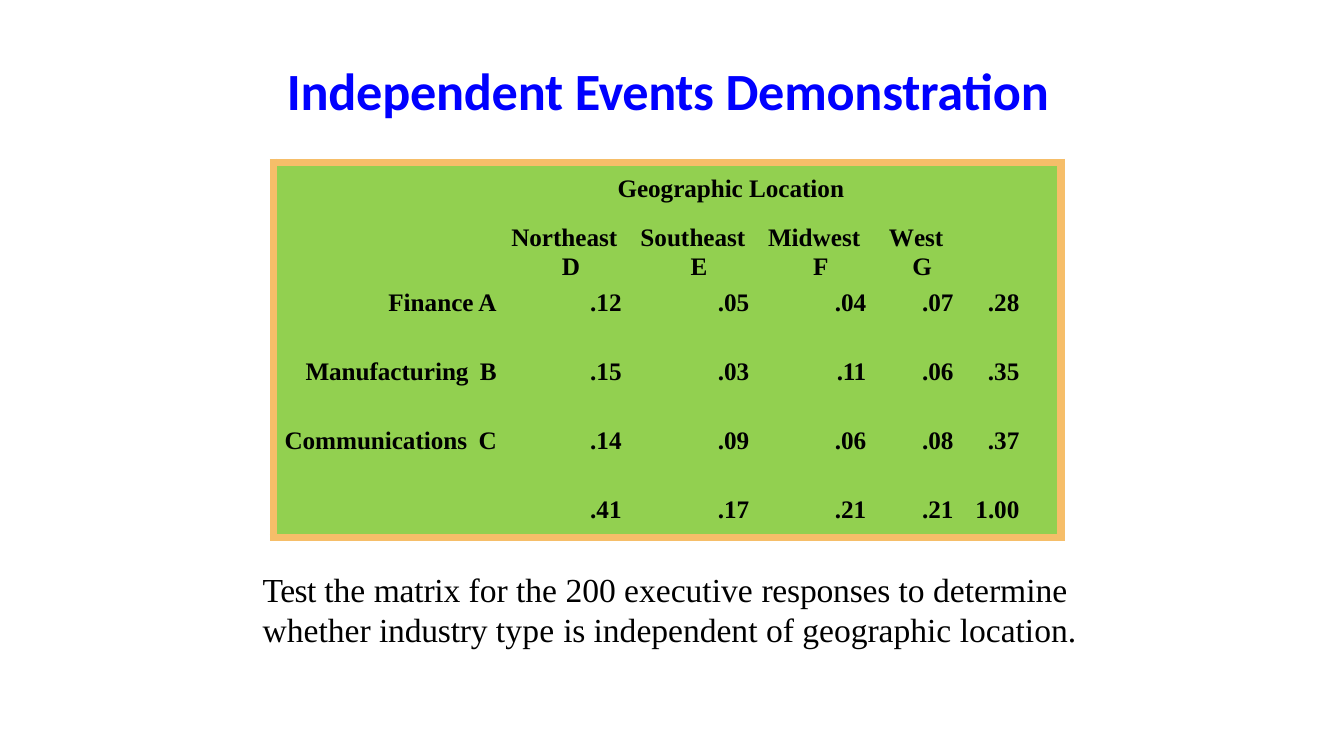
from collections import namedtuple
from dataclasses import dataclass

from lxml import etree
from pptx import Presentation
from pptx.dml.color import RGBColor
from pptx.enum.text import PP_ALIGN
from pptx.oxml.ns import qn
from pptx.util import Inches, Pt

LEFT, RIGHT = PP_ALIGN.LEFT, PP_ALIGN.RIGHT
PLAIN = "{2D5ABB26-0587-4C30-8999-92F81FD0307C}"
WIDE = 10
HIGH = WIDE * 9 / 16
GRID = 100

Box = namedtuple("Box", "x y w h")
Face = namedtuple("Face", "font size color bold")


@dataclass(frozen=True)
class Theme:
    """Colours and type sizes of the slide."""
    title: Face = Face("Calibri", 28, "0000FF", True)
    body: Face = Face("Times New Roman", 18, "000000", False)
    cell: Face = Face("Times New Roman", 13.5, "000000", True)
    fill: str = "92D050"
    edge: str = "F6BE69"
    line: float = 4.5


THEME = Theme()

HEADS = [
    ([("Northea", 0), ("s", -0.1), ("t D", 0)], 4.25, -3.75),
    ([("S", 0), ("o", 0.1), ("u", 0), ("t", 0.1), ("he", 0), ("a", -0.1), ("st E", 0)], 4.45, -3.75),
    ([("Mid", 0), ("w", 0.1), ("est F", 0)], 4.05, -3.35),
    ([("W", -0.8), ("est G", 0)], 2.65, -1.75),
]
ROWS = [
    ([("F", 0), ("i", -0.1), ("n", 0), ("a", 0.1), ("nce A", 0)], ".12 .05 .04 .07 .28"),
    ([("Manufacturing", 0), (" ", 2.7), ("B", 0)], ".15 .03 .11 .06 .35"),
    ([("Communications", 0), (" ", 2.7), ("C", 0.1)], ".14 .09 .06 .08 .37"),
    ([], ".41 .17 .21 .21 1.00"),
]
COLS = [17.2, 9.4, 9.5, 8.8, 6.4, 7.3]
TALL = [3.9, 5.3, 4, 5.1, 5.1, 4.4]
TOPS = [0.9, 0.5, 0.2, 1.3, 1.3, 1.3]
ENDS = [0.6, 0.7, 0.7, 0.8, 0.7, 3.1]


def unit(n):
    """Turn grid columns into a length."""
    return Inches(n * WIDE / GRID)


def write(para, runs, face):
    """Add runs of text and tracking to a paragraph."""
    for text, track in runs:
        run = para.add_run()
        run.text = text
        font = run.font
        font.name, font.size, font.bold = face.font, Pt(face.size), face.bold
        font.color.rgb = RGBColor.from_string(face.color)
        if track:
            run._r.get_or_add_rPr().set("spc", str(round(track * 100)))


def indent(para, left, first=0):
    """Set the left margin and first-line indent."""
    props = para._p.get_or_add_pPr()
    props.set("marL", str(unit(left)))
    props.set("indent", str(unit(first)))


def block(slide, box, runs, face):
    """Place a paragraph of text in a box."""
    frame = slide.shapes.add_textbox(*map(unit, box)).text_frame
    frame.word_wrap = True
    frame.margin_left = frame.margin_right = frame.margin_bottom = 0
    frame.margin_top = unit(0.1)
    para = frame.paragraphs[0]
    para.alignment = LEFT
    para.space_before = Pt(1)
    indent(para, 0.1)
    write(para, runs, face)


def border(cell, sides):
    """Draw the given sides of a cell."""
    props = cell._tc.get_or_add_tcPr()
    for side in sides:
        line = etree.SubElement(props, qn(f"a:ln{side}"), w=str(Pt(THEME.line)))
        fill = etree.SubElement(line, qn("a:solidFill"))
        etree.SubElement(fill, qn("a:srgbClr"), val=THEME.edge)


def style(cell, row, col):
    """Set the margins, outer border and fill of a cell."""
    cell.margin_left = cell.margin_right = cell.margin_bottom = 0
    cell.margin_top = unit(TOPS[row])
    ends = {
        "L": col == 0,
        "R": row == 0 or col == len(COLS) - 1,
        "T": row == 0,
        "B": row == len(TALL) - 1,
    }
    border(cell, [side for side, on in ends.items() if on])
    cell.fill.solid()
    cell.fill.fore_color.rgb = RGBColor.from_string(THEME.fill)


def matrix(slide, box):
    """Place the probability matrix in a box."""
    frame = slide.shapes.add_table(len(TALL), len(COLS), *map(unit, box))
    table = frame.table
    table.first_row = table.horz_banding = False
    table._tbl.tblPr.find(qn("a:tableStyleId")).text = PLAIN
    for col, size in zip(table.columns, COLS):
        col.width = unit(box.w * size / sum(COLS))
    for row, size in zip(table.rows, TALL):
        row.height = unit(box.h * size / sum(TALL))
    for row in range(len(TALL)):
        for col in range(len(COLS)):
            style(table.cell(row, col), row, col)
    top = table.cell(0, 0)
    top.merge(table.cell(0, len(COLS) - 1))
    para = top.text_frame.paragraphs[0]
    indent(para, 25.6)
    write(para, [("Geographic Location", 0)], THEME.cell)
    for col, (runs, left, first) in enumerate(HEADS, 1):
        para = table.cell(1, col).text_frame.paragraphs[0]
        para.line_spacing = Pt(15.9)
        indent(para, left, first)
        write(para, runs, THEME.cell)
    for row, (label, nums) in enumerate(ROWS, 2):
        parts = [label]
        parts += [[(num, -0.2 if num == ".11" else 0)] for num in nums.split()]
        for col, runs in enumerate(parts):
            if runs:
                cell = table.cell(row, col)
                cell.margin_right = unit(ENDS[col])
                para = cell.text_frame.paragraphs[0]
                para.alignment = RIGHT
                write(para, runs, THEME.cell)


def main():
    """Build and save the slide."""
    deck = Presentation()
    deck.slide_width, deck.slide_height = Inches(WIDE), Inches(HIGH)
    slide = deck.slides.add_slide(deck.slide_layouts[6])
    block(slide, Box(19.45, 42.2, 61.2, 6.3), [
        ("Test ", -0.3), ("the ", 0), ("matrix ", -0.1),
        ("for the 200 executive ", 0), ("responses ", -0.1),
        ("to determine whether", 0), (" industry ", -0.1), ("type ", 0.1),
        ("is ", -0.1), ("independent of geographic location.", 0),
    ], THEME.body)
    block(slide, Box(21.25, 4.2, 57.5, 4.9), [
        ("Independent ", -0.1), ("Events", -0.2), (" Demonstration", -0.1),
    ], THEME.title)
    matrix(slide, Box(20.35, 12.1, sum(COLS), 27.9))
    deck.save("out.pptx")


if __name__ == "__main__":
    main()
